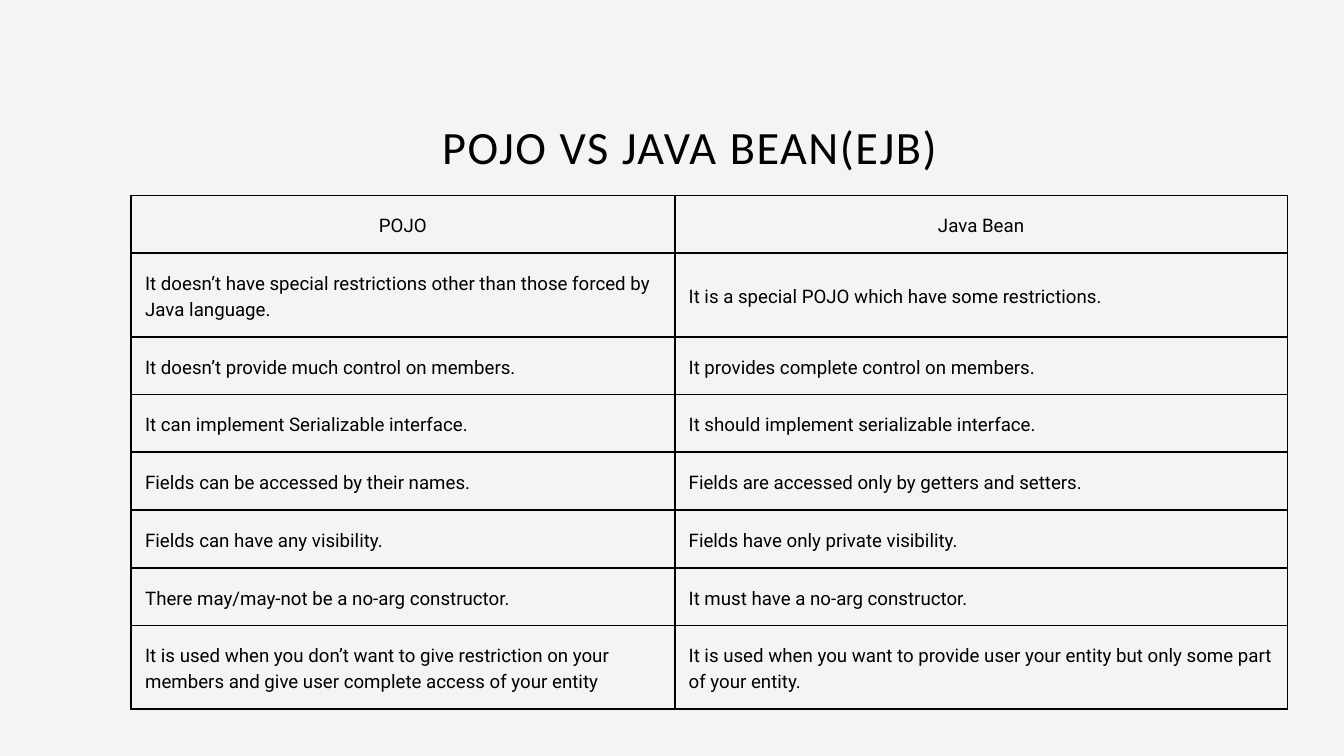
from dataclasses import dataclass
from lxml.etree import SubElement as Sub
from pptx import Presentation
from pptx.dml.color import RGBColor as Rgb
from pptx.enum.text import MSO_ANCHOR as Anchor, MSO_AUTO_SIZE as Auto, PP_ALIGN as Align
from pptx.oxml.ns import qn
from pptx.util import Inches, Pt


@dataclass(frozen=True)
class Theme:
    back: str = "F2F4F5"
    ink: str = "010101"
    line: str = "000000"
    head: str = "Calibri"
    body: str = "Roboto"
    big: float = 49.6
    small: float = 20
    rule: float = 2.25


LOOK = Theme()
WIDE, HIGH = Inches(20), Inches(11.25)
PAD = Inches(0.21)
COLS = (47, 53)
ONE, TWO = 43, 62
TITLE = "POJO VS JAVA BEAN(EJB)"
ROWS = [
    (ONE, "POJO", "Java Bean"),
    (TWO, "It doesn’t have special restrictions other than those forced by Java language.",
     "It is a special POJO which have some restrictions."),
    (ONE, "It doesn’t provide much control on members.",
     "It provides complete control on members."),
    (ONE, "It can implement Serializable interface.",
     "It should implement serializable interface."),
    (ONE, "Fields can be accessed by their names.",
     "Fields are accessed only by getters and setters."),
    (ONE, "Fields can have any visibility.", "Fields have only private visibility."),
    (ONE, "There may/may-not be a no-arg constructor.",
     "It must have a no-arg constructor."),
    (TWO, "It is used when you don’t want to give restriction on your members "
     "and give user complete access of your entity",
     "It is used when you want to provide user your entity but only some part of your entity."),
]


def area(left, top, width, height):
    return (int(WIDE * left / 100), int(HIGH * top / 100),
            int(WIDE * width / 100), int(HIGH * height / 100))


def write(frame, text, *, font, size, color, lead, align=Align.LEFT, space=0):
    para = frame.paragraphs[0]
    para.alignment = align
    para.line_spacing = Pt(lead)
    run = para.add_run()
    run.text = text
    run.font.name = font
    run.font.size = Pt(size)
    run.font.color.rgb = Rgb.from_string(color)
    if space:
        run.font._element.set("spc", str(round(space * 100)))


def border(cell):
    props = cell._tc.get_or_add_tcPr()
    for side in ("lnL", "lnR", "lnT", "lnB"):
        line = Sub(props, qn(f"a:{side}"), w=str(Pt(LOOK.rule)))
        fill = Sub(line, qn("a:solidFill"))
        Sub(fill, qn("a:srgbClr"), val=LOOK.line)


def heading(slide, box):
    frame = slide.shapes.add_textbox(*box).text_frame
    frame.word_wrap = True
    frame.auto_size = Auto.SHAPE_TO_FIT_TEXT
    frame.margin_left = frame.margin_right = 0
    frame.margin_top = frame.margin_bottom = 0
    write(frame, TITLE, font=LOOK.head, size=LOOK.big, color=LOOK.ink,
          lead=68.5, align=Align.CENTER, space=1.7)


def compare(slide, box):
    grid = slide.shapes.add_table(len(ROWS), len(COLS), *box).table
    grid.first_row = grid.horz_banding = False
    for col, share in zip(grid.columns, COLS):
        col.width = box[2] * share // sum(COLS)
    total = sum(row[0] for row in ROWS)
    for r, (share, *texts) in enumerate(ROWS):
        grid.rows[r].height = box[3] * share // total
        for c, text in enumerate(texts):
            cell = grid.cell(r, c)
            cell.margin_left = cell.margin_right = PAD
            cell.margin_top = cell.margin_bottom = PAD
            cell.vertical_anchor = Anchor.MIDDLE
            border(cell)
            cell.fill.background()
            write(cell.text_frame, text, font=LOOK.body, size=LOOK.small,
                  color=LOOK.line, lead=28,
                  align=Align.LEFT if r else Align.CENTER)


def main():
    deck = Presentation()
    deck.slide_width, deck.slide_height = WIDE, HIGH
    slide = deck.slides.add_slide(deck.slide_layouts[6])
    fill = slide.background.fill
    fill.solid()
    fill.fore_color.rgb = Rgb.from_string(LOOK.back)
    compare(slide, area(9.75, 25.87, 86.05, 67.91))
    heading(slide, area(20.55, 14.49, 61.55, 8.27))
    deck.save("out.pptx")


if __name__ == "__main__":
    main()
